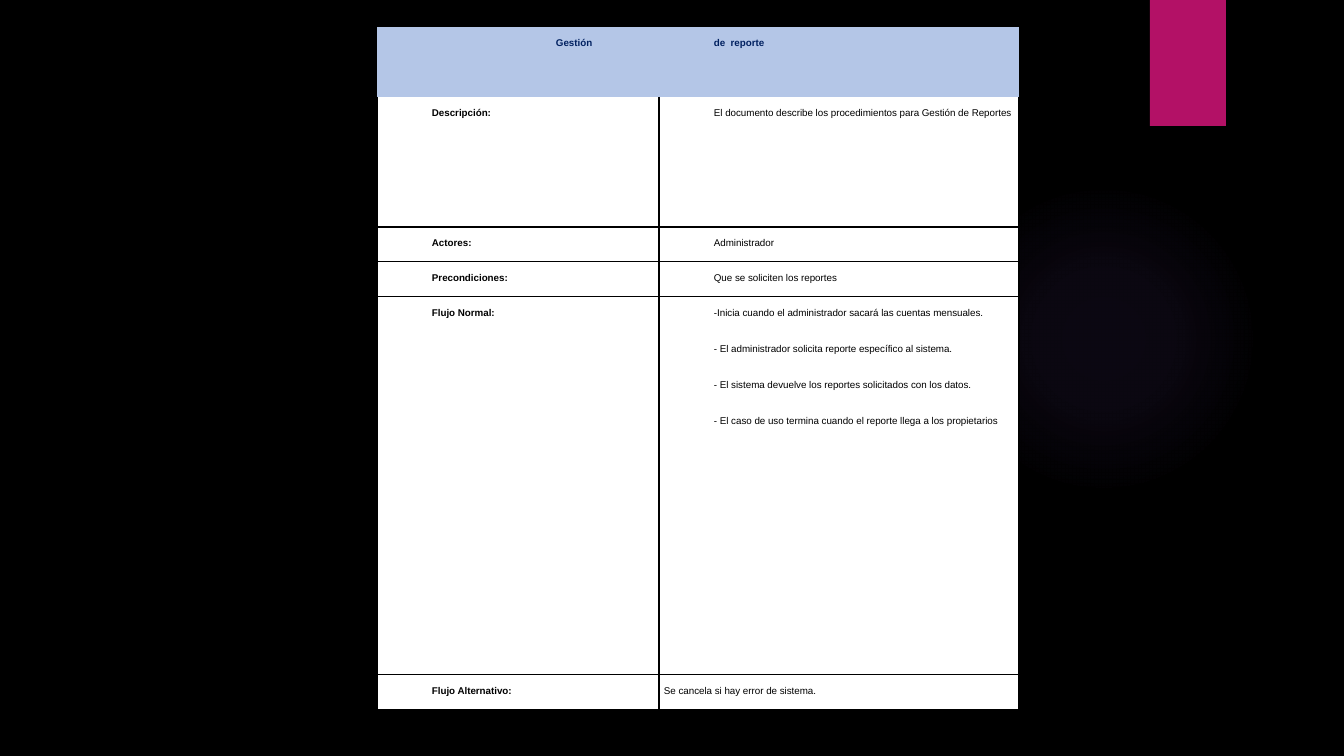
"""Build the use-case slide for report management."""
from pptx import Presentation
from pptx import util as u
from pptx.dml.color import RGBColor
from pptx.enum import shapes, text
from pptx.oxml import parse_xml
from pptx.oxml.ns import nsdecls

COLORS = {
    "background": "000000",
    "glow": "9B6BF2",
    "accent": "B31166",
    "header": "B4C6E7",
    "title": "002060",
    "body": "FFFFFF",
    "ink": "000000",
}
INDENT, TITLE_INDENT = 50, 174

USE_CASE = [
    ("Gestión", ["de  reporte"], 70),
    ("Descripción:",
     ["El documento describe los procedimientos para Gestión de Reportes"], 130),
    ("Actores:", ["Administrador"], 35),
    ("Precondiciones:", ["Que se soliciten los reportes"], 35),
    ("Flujo Normal:",
     ["-Inicia cuando el administrador sacará las cuentas mensuales.",
      "- El administrador solicita reporte específico al sistema.",
      "- El sistema devuelve los reportes solicitados con los datos.",
      "- El caso de uso termina cuando el reporte llega a los propietarios"], 378),
    ("Flujo Alternativo:", ["Se cancela si hay error de sistema."], 35),
]


def px(length):
    return u.Emu(round(length * 914400 / 100.8))


def rgb(name):
    return RGBColor.from_string(COLORS[name])


class UseCaseSlide:
    def __init__(self, deck, font="Arial", size=7):
        self.font, self.size = font, size
        self.slide = deck.slides.add_slide(deck.slide_layouts[6])
        fill = self.slide.background.fill
        fill.solid()
        fill.fore_color.rgb = rgb("background")

    def shape(self, preset, left, top, width, height):
        shape = self.slide.shapes.add_shape(preset, *map(px, (left, top, width, height)))
        shape.shadow.inherit = False
        shape.line.fill.background()
        return shape

    def glow(self, left, top, diameter, stops):
        disc = self.shape(shapes.MSO_SHAPE.OVAL, left, top, diameter, diameter)
        stop_xml = "".join(
            f'<a:gs pos="{position * 1000}"><a:srgbClr val="{COLORS["glow"]}">'
            f'<a:alpha val="{alpha * 1000}"/></a:srgbClr></a:gs>'
            for position, alpha in stops)
        gradient = parse_xml(
            f'<a:gradFill {nsdecls("a")} rotWithShape="1"><a:gsLst>{stop_xml}</a:gsLst>'
            '<a:path path="circle"><a:fillToRect l="50000" t="50000" r="50000" b="50000"/>'
            '</a:path></a:gradFill>')
        disc.element.spPr.insert(2, gradient)

    def bar(self, left, top, width, height):
        bar = self.shape(shapes.MSO_SHAPE.RECTANGLE, left, top, width, height)
        bar.fill.solid()
        bar.fill.fore_color.rgb = rgb("accent")

    def borders(self, cell, visible):
        properties = cell._tc.get_or_add_tcPr()
        for index, side in enumerate("LRTB"):
            paint = (f'<a:solidFill><a:srgbClr val="{COLORS["ink"]}"/></a:solidFill>'
                     if side in visible else "<a:noFill/>")
            properties.insert(index, parse_xml(
                f'<a:ln{side} {nsdecls("a")} w="12700">{paint}</a:ln{side}>'))

    def cell(self, cell, lines, indent, bold, ink, fill, visible):
        cell.margin_left = cell.margin_right = px(5)
        cell.margin_top = cell.margin_bottom = 0
        cell.fill.solid()
        cell.fill.fore_color.rgb = rgb(fill)
        self.borders(cell, visible)
        cell.text_frame.text = "\n".join(lines)
        for paragraph in cell.text_frame.paragraphs:
            paragraph.alignment = text.PP_ALIGN.JUSTIFY
            paragraph.line_spacing = 2.0
            paragraph.space_before = u.Pt(0.2)
            paragraph.space_after = u.Pt(10 if indent else 0)
            paragraph._p.get_or_add_pPr().set("marL", str(px(indent)))
            font = paragraph.font
            font.name, font.size, font.bold = self.font, u.Pt(self.size), bold
            font.color.rgb = rgb(ink)

    def table(self, left, top, widths, entries):
        height = sum(entry[2] for entry in entries)
        table = self.slide.shapes.add_table(
            len(entries), len(widths), *map(px, (left, top, sum(widths), height))).table
        table.first_row = table.horz_banding = False
        for column, width in zip(table.columns, widths):
            column.width = px(width)
        last = len(entries) - 1
        for row, (label, details, row_height) in enumerate(entries):
            table.rows[row].height = px(row_height)
            header = row == 0
            ink, fill = ("title", "header") if header else ("ink", "body")
            visible = "" if header else "LRB" if row == 1 else "LRTB"
            self.cell(table.cell(row, 0), [label], TITLE_INDENT if header else INDENT,
                      True, ink, fill, visible)
            self.cell(table.cell(row, 1), details, 0 if row == last else INDENT,
                      header, ink, fill, visible)


def main():
    deck = Presentation()
    deck.slide_width, deck.slide_height = px(1344), px(756)
    page = UseCaseSlide(deck)
    page.glow(949, 184, 310, [(0, 7), (36, 6), (69, 0)])
    page.bar(1150, 0, 76, 126)
    page.table(377, 27, (282, 360), USE_CASE)
    deck.save("out.pptx")


if __name__ == "__main__":
    main()
